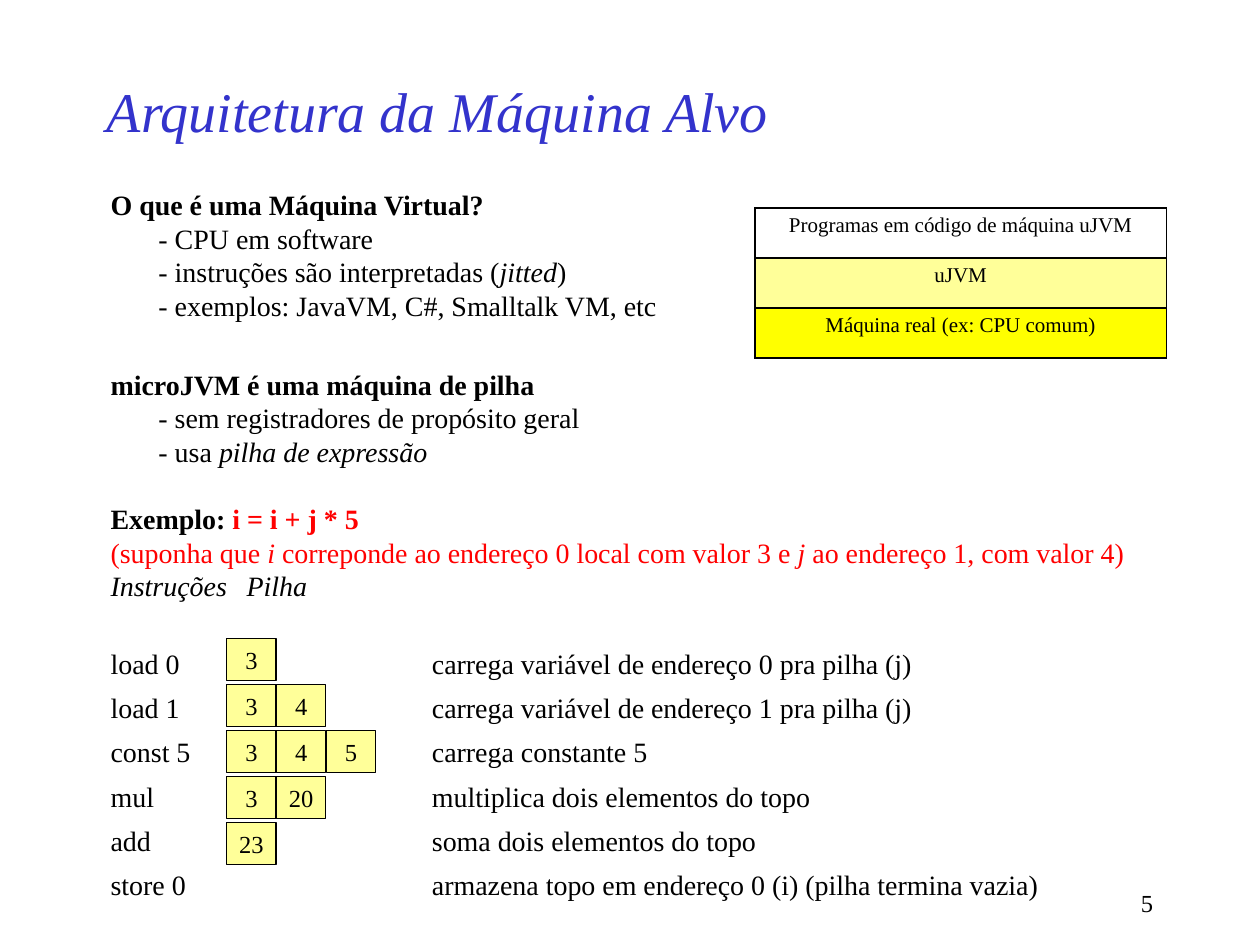
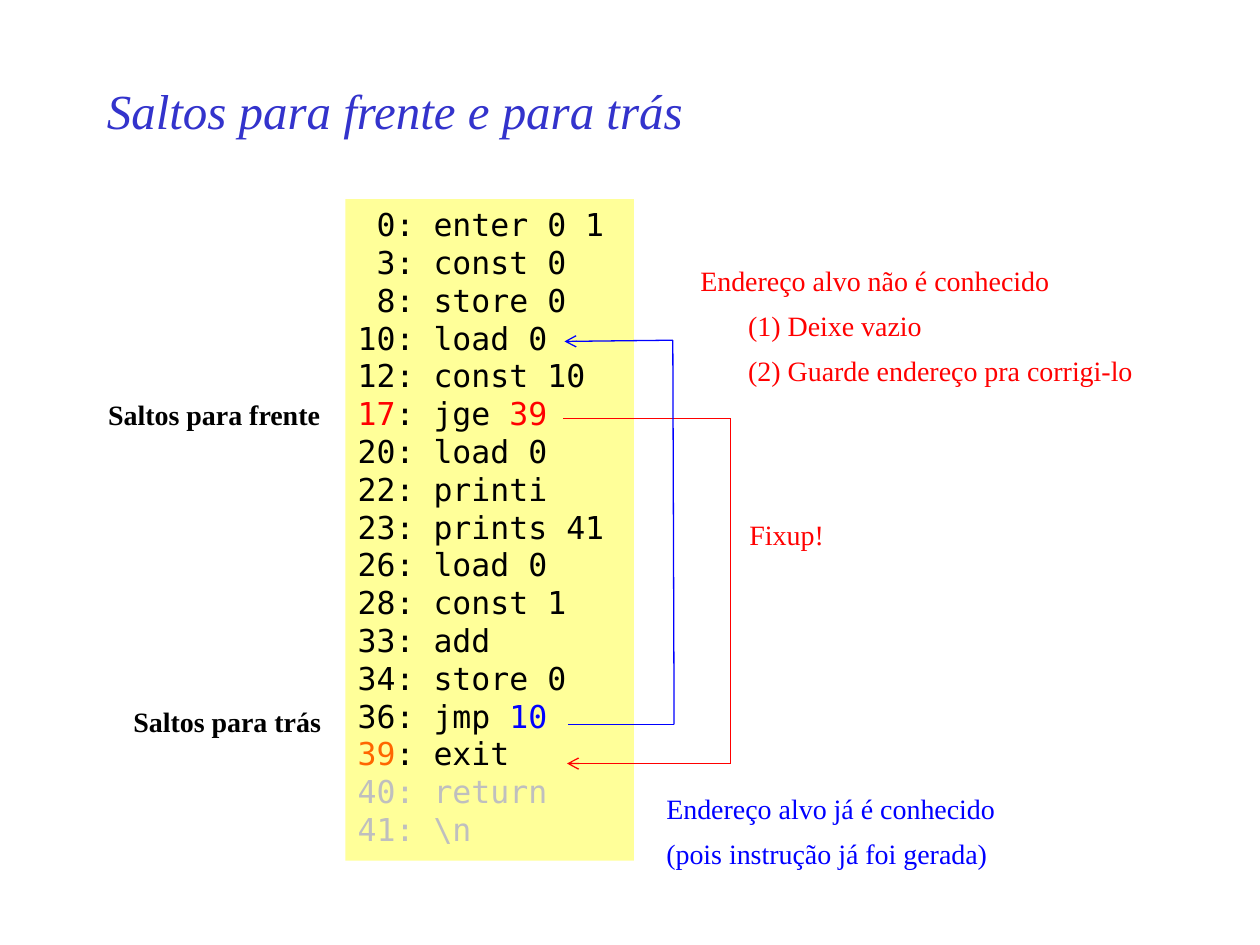
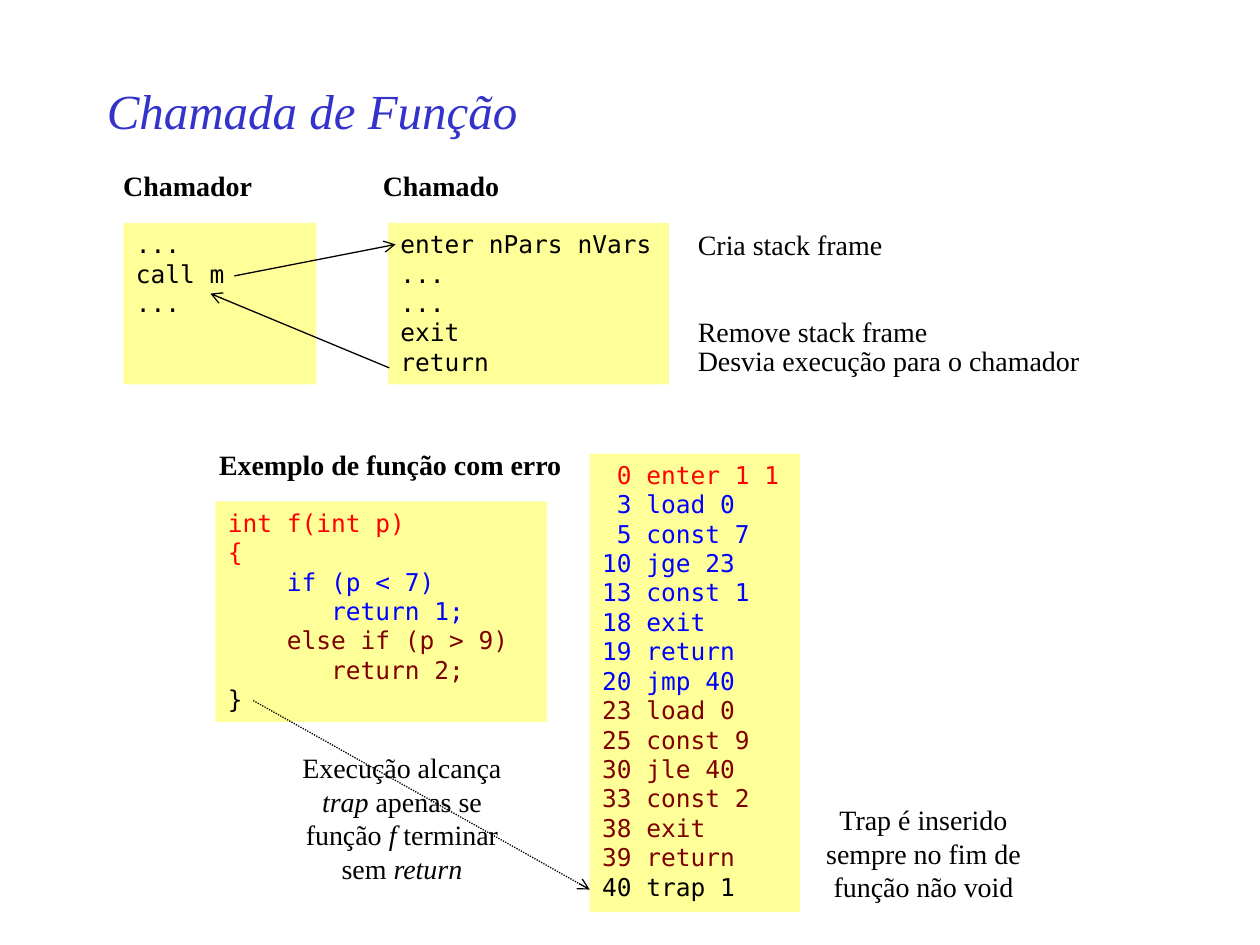
from pptx import Presentation
from pptx.dml.color import RGBColor
from pptx.enum.dml import MSO_LINE
from pptx.enum.shapes import MSO_CONNECTOR, MSO_SHAPE
from pptx.enum.text import MSO_ANCHOR, PP_ALIGN
from pptx.oxml.ns import qn
from pptx.util import Inches, Pt
from lxml import etree

LEFT, CENTER, RIGHT = PP_ALIGN.LEFT, PP_ALIGN.CENTER, PP_ALIGN.RIGHT
TOP, MIDDLE = MSO_ANCHOR.TOP, MSO_ANCHOR.MIDDLE
RECT, STRAIGHT, DOT = MSO_SHAPE.RECTANGLE, MSO_CONNECTOR.STRAIGHT, MSO_LINE.ROUND_DOT

SERIF, MONO = "Times New Roman", "DejaVu Sans Mono"
BLACK, WHITE, TITLE_BLUE = "000000", "FFFFFF", "3333CC"
RED, BLUE, ORANGE, MAROON, GRAY = "FF0000", "0000FF", "FF6600", "800000", "BFBFBF"
PALE, YELLOW = "FFFF99", "FFFF00"
BOLD, ITALIC = {"bold": True}, {"italic": True}
LIST_GAP = 6.6


def rgb(value):
    return RGBColor.from_string(value)


def para(*runs, before=0, indent=0, tab=None, align=LEFT):
    return {"runs": runs, "before": before, "indent": indent, "tab": tab, "align": align}


def colored(color, *lines):
    return [para((line, {"color": color})) for line in lines]


class Deck:
    def __init__(self):
        self.prs = Presentation()
        self.prs.slide_width, self.prs.slide_height = Inches(10), Inches(7.5)
        self.text_format = {"name": SERIF, "size": 16, "color": BLACK}
        self.code_format = {"name": MONO, "size": 18, "color": BLACK}

    def slide(self, title, size=28):
        self.s = self.prs.slides.add_slide(self.prs.slide_layouts[6])
        self.text((0.75, 0.5, 7.5, 0.75), title, anchor=MIDDLE,
                  size=size, color=TITLE_BLUE, italic=True)

    def fill_text(self, tf, paragraphs, fmt):
        if isinstance(paragraphs, str):
            paragraphs = [para(paragraphs)]
        for i, item in enumerate(paragraphs):
            p = tf.add_paragraph() if i else tf.paragraphs[0]
            p.alignment = item["align"]
            p.space_before = Pt(item["before"])
            pPr = p._p.get_or_add_pPr()
            pPr.set("marL", str(Inches(item["indent"])))
            if item["tab"]:
                tabs = etree.SubElement(pPr, qn("a:tabLst"))
                etree.SubElement(tabs, qn("a:tab"), pos=str(Inches(item["tab"])), algn="l")
            for run in item["runs"]:
                text, extra = (run, {}) if isinstance(run, str) else run
                r = p.add_run()
                r.text = text
                self.style(r.font, {**fmt, **extra})

    def style(self, font, fmt):
        for key, value in fmt.items():
            if key == "color":
                font.color.rgb = rgb(value)
            else:
                setattr(font, key, Pt(value) if key == "size" else value)

    def text(self, box, paragraphs, anchor=TOP, **fmt):
        tf = self.s.shapes.add_textbox(*map(Inches, box)).text_frame
        tf.word_wrap = True
        tf.vertical_anchor = anchor
        self.fill_text(tf, paragraphs, {**self.text_format, **fmt})

    def label(self, left, top, width, text, **fmt):
        self.text((left, top, width, 0.37), text, **fmt)

    def rect(self, box, line=None):
        sp = self.s.shapes.add_shape(RECT, *map(Inches, box))
        sp.shadow.inherit = False
        sp.fill.solid()
        sp.fill.fore_color.rgb = rgb(PALE)
        if line:
            sp.line.color.rgb = rgb(line)
            sp.line.width = Pt(0.75)
        else:
            sp.line.fill.background()
        return sp.text_frame

    def code(self, box, paragraphs, **fmt):
        tf = self.rect(box)
        tf.vertical_anchor = TOP
        self.fill_text(tf, paragraphs, {**self.code_format, **fmt})

    def stack_cell(self, left, top, value):
        tf = self.rect((left, top, 0.39, 0.33), BLACK)
        tf.word_wrap = False
        self.fill_text(tf, [para(value, align=CENTER)], {**self.text_format, "size": 14})

    def arrow(self, points, color=BLACK, dash=None):
        for start, end in zip(points, points[1:]):
            line = self.s.shapes.add_connector(STRAIGHT, *map(Inches, start + end))
            line.line.color.rgb = rgb(color)
            line.line.width = Pt(0.75)
            if dash:
                line.line.dash_style = dash
            etree.SubElement(line._element.spPr, qn("a:effectLst"))
        etree.SubElement(line.line._get_or_add_ln(), qn("a:tailEnd"), type="arrow")

    def layers(self, box, rows):
        table = self.s.shapes.add_table(len(rows), 1, *map(Inches, box)).table
        for i, (text, fill) in enumerate(rows):
            cell = table.cell(i, 0)
            self.fill_text(cell.text_frame, [para(text, align=CENTER)],
                           {**self.text_format, "size": 12, "bold": False})
            tcPr = cell._tc.get_or_add_tcPr()
            for side in ("lnL", "lnR", "lnT", "lnB"):
                ln = etree.SubElement(tcPr, qn("a:" + side), w=str(Pt(1)))
                solid = etree.SubElement(ln, qn("a:solidFill"))
                etree.SubElement(solid, qn("a:srgbClr"), val=BLACK)
            cell.fill.solid()
            cell.fill.fore_color.rgb = rgb(fill)


def target_machine(deck):
    deck.slide("Arquitetura da Máquina Alvo", 32)
    instructions = [
        ("load 0", "carrega variável de endereço 0 pra pilha (j)"),
        ("load 1", "carrega variável de endereço 1 pra pilha (j)"),
        ("const 5", "carrega constante 5"),
        ("mul", "multiplica dois elementos do topo"),
        ("add", "soma dois elementos do topo"),
        ("store 0", "armazena topo em endereço 0 (i) (pilha termina vazia)"),
    ]
    red, red_italic = {"color": RED}, {"color": RED, "italic": True}
    deck.text((0.78, 1.44, 8.47, 5.83), [
        para(("O que é uma Máquina Virtual?", BOLD)),
        para("- CPU em software", indent=0.38),
        para("- instruções são interpretadas (", ("jitted", ITALIC), ")", indent=0.38),
        para("- exemplos: JavaVM, C#, Smalltalk VM, etc", indent=0.38),
        para(("microJVM é uma máquina de pilha", BOLD), before=26),
        para("- sem registradores de propósito geral", indent=0.38),
        para("- usa ", ("pilha de expressão", ITALIC), indent=0.38),
        para(("Exemplo: ", BOLD), ("i = i + j * 5", {"color": RED, "bold": True}), before=19.2),
        para(("(suponha que ", red), ("i", red_italic),
             (" correponde ao endereço 0 local com valor 3 e ", red),
             ("j", red_italic), (" ao endereço 1, com valor 4)", red)),
        para(("Instruções\tPilha", ITALIC), tab=1.08),
        *[para(f"{name}\t{effect}", before=6 if i else 25.3, tab=2.55)
          for i, (name, effect) in enumerate(instructions)],
    ])
    deck.layers((5.99, 1.65, 3.27, 1.19), [
        ("Programas em código de máquina uJVM", WHITE),
        ("uJVM", PALE),
        ("Máquina real (ex: CPU comum)", YELLOW),
    ])
    stacks = [["3"], ["3", "4"], ["3", "4", "5"], ["3", "20"], ["23"]]
    for row, stack in enumerate(stacks):
        for column, value in enumerate(stack):
            deck.stack_cell(1.8 + 0.395 * column, 5.07 + 0.365 * row, value)
    deck.text((7.17, 7, 2.08, 0.33), [para("5", align=RIGHT)], size=14)


def jumps(deck):
    deck.slide("Saltos para frente e para trás")
    deck.label(0.76, 3.11, 1.98, "Saltos para frente", bold=True)
    deck.label(0.96, 5.54, 1.78, "Saltos para trás", bold=True)
    deck.code((2.74, 1.58, 2.29, 5.25), [
        *colored(BLACK, " 0: enter 0 1", " 3: const 0", " 8: store 0",
                 "10: load 0", "12: const 10"),
        para(("17", {"color": RED}), ": jge ", ("39", {"color": RED})),
        *colored(BLACK, "20: load 0", "22: printi", "23: prints 41", "26: load 0",
                 "28: const 1", "33: add", "34: store 0"),
        para("36: jmp ", ("10", {"color": BLUE})),
        para(("39", {"color": ORANGE}), ": exit"),
        *colored(GRAY, "40: return", "41: \\n"),
    ])
    deck.text((5.46, 2.04, 3.7, 1.13), [
        para("Endereço alvo não é conhecido"),
        para("(1) Deixe vazio", before=LIST_GAP, indent=0.38),
        para("(2) Guarde endereço pra corrigi-lo", before=LIST_GAP, indent=0.38),
    ], color=RED)
    deck.arrow([(4.47, 3.32), (5.8, 3.32), (5.8, 6.06), (4.5, 6.06)], RED)
    deck.arrow([(4.51, 5.75), (5.35, 5.75), (5.34, 2.7), (4.48, 2.71)], BLUE)
    deck.text((5.19, 6.23, 2.97, 0.75), [
        para("Endereço alvo já é conhecido"),
        para("(pois instrução já foi gerada)", before=LIST_GAP),
    ], color=BLUE)
    deck.label(5.85, 4.06, 3.7, "Fixup!", color=RED)


def function_call(deck):
    deck.slide("Chamada de Função")
    for left, top, width, heading in [
        (0.88, 1.29, 1.86, "Chamador"),
        (2.94, 1.29, 4.04, "Chamado"),
        (1.64, 3.5, 3.07, "Exemplo de função com erro"),
    ]:
        deck.label(left, top, width, heading, bold=True)
    deck.code((0.98, 1.77, 1.53, 1.28), colored(BLACK, "...", "call m", "..."), size=14)
    deck.code((3.08, 1.77, 2.23, 1.28),
              colored(BLACK, "enter nPars nVars", "...", "...", "exit", "return"), size=14)
    deck.arrow([(1.86, 2.19), (3.14, 1.94)])
    deck.arrow([(3.09, 2.92), (1.67, 2.33)])
    for top, note in [(1.76, "Cria stack frame"), (2.45, "Remove stack frame"),
                      (2.68, "Desvia execução para o chamador")]:
        deck.label(5.44, top, 3.49, note)
    deck.code((1.71, 3.98, 2.63, 1.75), [
        *colored(RED, "int f(int p)", "{"),
        *colored(BLUE, "    if (p < 7)", "       return 1;"),
        *colored(MAROON, "    else if (p > 9)", "       return 2;"),
        *colored(BLACK, "}"),
    ], size=14)
    deck.code((4.68, 3.6, 1.67, 3.64), [
        *colored(RED, " 0 enter 1 1"),
        *colored(BLUE, " 3 load 0", " 5 const 7", "10 jge 23", "13 const 1",
                 "18 exit", "19 return", "20 jmp 40"),
        *colored(MAROON, "23 load 0", "25 const 9", "30 jle 40", "33 const 2",
                 "38 exit", "39 return"),
        *colored(BLACK, "40 trap 1"),
    ], size=14)
    deck.arrow([(2.01, 5.56), (4.68, 7.06)], dash=DOT)
    deck.text((2.22, 5.91, 1.94, 1.18), [
        para("Execução alcança ", ("trap", ITALIC), " apenas se função ", ("f", ITALIC),
             " terminar sem ", ("return", ITALIC), align=CENTER)])
    deck.text((6.36, 6.32, 1.94, 0.91), [
        para("Trap é inserido sempre no fim de função não void", align=CENTER)])


def main():
    deck = Deck()
    target_machine(deck)
    jumps(deck)
    function_call(deck)
    deck.prs.save("out.pptx")


if __name__ == "__main__":
    main()
